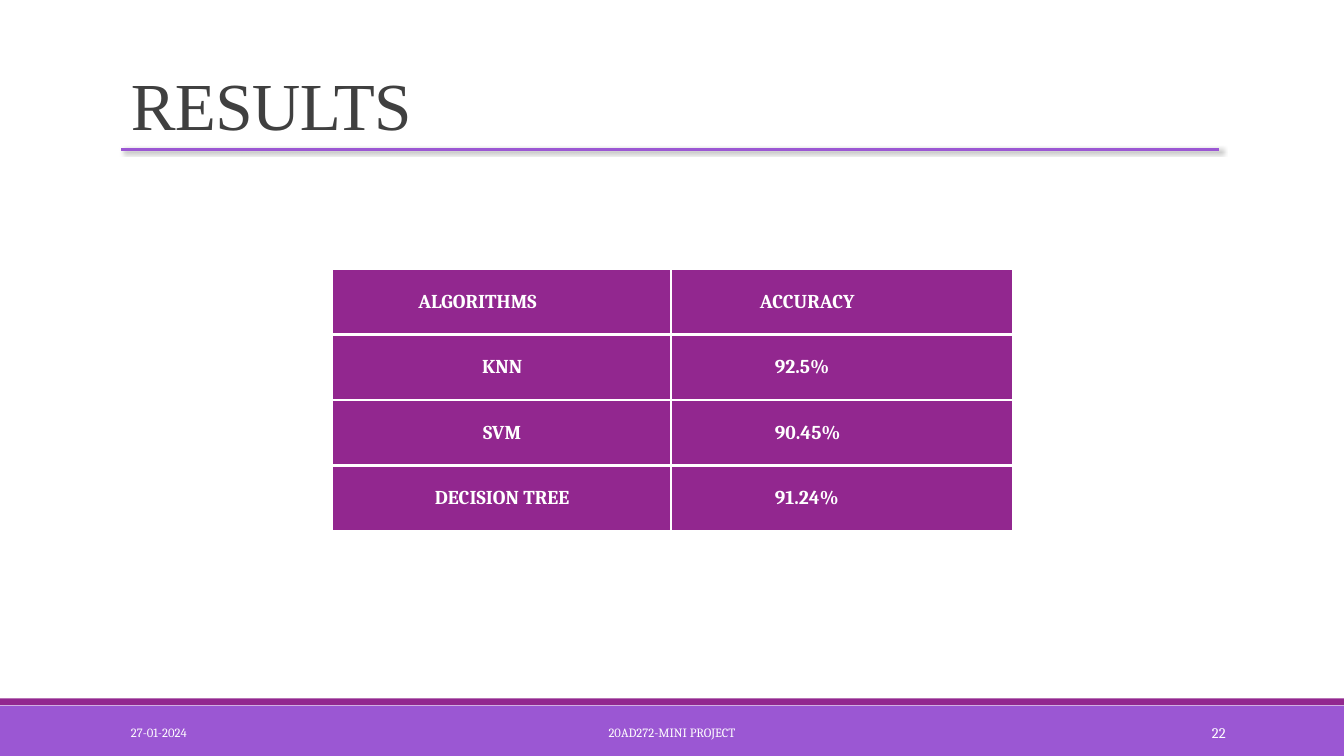
"""Build the results slide with its accuracy table."""
from lxml import etree
from pptx import Presentation
from pptx import util as u
from pptx.dml.color import RGBColor
from pptx.enum import shapes, text
from pptx.oxml import ns

COLORS = {"band": "9B57D3", "accent": "92278F", "title": "404040",
          "light": "FFFFFF", "shade": "000000"}
ALIGN = text.PP_ALIGN
ANCHOR = text.MSO_ANCHOR
RESULTS = [("ALGORITHMS", "ACCURACY"), ("KNN", "92.5%"),
           ("SVM", "90.45%"), ("DECISION TREE", "91.24%")]
COLUMN_WIDTHS = (8.53, 8.61)
ROW_HEIGHT = 1.65
FOOTERS = [("27-01-2024", 3.05, 6.86, ALIGN.LEFT, 9),
           ("20AD272-MINI PROJECT", 10.24, 13.39, ALIGN.CENTER, 9),
           ("22", 27.51, 3.63, ALIGN.RIGHT, 10.5)]


def rgb(color):
    return RGBColor.from_string(COLORS[color])


def apply(target, values):
    for key, value in values.items():
        setattr(target, key, value)


def add_element(parent, tag, **attributes):
    return etree.SubElement(parent, ns.qn(tag), attributes)


def write(frame, words, color, align, font):
    paragraph = frame.paragraphs[0]
    paragraph.alignment = align
    run = paragraph.add_run()
    run.text = words
    apply(run.font, font)
    run.font.color.rgb = rgb(color)
    return paragraph, run


def add_label(slide, box, words, color, align, anchor, font):
    frame = slide.shapes.add_textbox(*map(u.Cm, box)).text_frame
    apply(frame, {"word_wrap": True, "vertical_anchor": anchor})
    return write(frame, words, color, align, font)


def add_band(slide, top, height, color):
    band = slide.shapes.add_shape(
        shapes.MSO_SHAPE.RECTANGLE, 0, u.Cm(top), u.Cm(33.87), u.Cm(height))
    band.shadow.inherit = False
    band.fill.solid()
    band.fill.fore_color.rgb = rgb(color)
    band.line.fill.background()


def add_title(slide):
    font = {"name": "Times New Roman", "size": u.Pt(48)}
    paragraph, run = add_label(slide, (3.05, 1.02, 27.94, 2.74), "RESULTS",
                               "title", ALIGN.LEFT, ANCHOR.BOTTOM, font)
    paragraph.line_spacing = 0.85
    run.font._element.set("spc", "-50")


def add_title_rule(slide):
    rule = slide.shapes.add_connector(
        shapes.MSO_CONNECTOR.STRAIGHT, *map(u.Cm, (3.05, 3.76, 30.73, 3.76)))
    rule.line.color.rgb = rgb("band")
    rule.line.width = u.Pt(2)
    effects = add_element(rule._element.spPr, "a:effectLst")
    shadow = add_element(effects, "a:outerShdw", blurRad=str(u.Pt(3)),
                         dist=str(u.Pt(2)), dir="2700000", algn="tl")
    shade = add_element(shadow, "a:srgbClr", val=COLORS["shade"])
    add_element(shade, "a:alpha", val="60000")


def set_borders(cell, widths):
    properties = cell._tc.get_or_add_tcPr()
    for side, width in widths.items():
        border = add_element(properties, f"a:ln{side}", w=str(u.Pt(width)))
        fill = add_element(border, "a:solidFill")
        add_element(fill, "a:srgbClr", val=COLORS["light"])


def fill_cell(cell, words, align, left, right):
    apply(cell, {"margin_left": u.Cm(left), "margin_right": u.Cm(right),
                 "margin_top": 0, "margin_bottom": 0,
                 "vertical_anchor": ANCHOR.MIDDLE})
    font = {"name": "Cambria", "size": u.Pt(14), "bold": True}
    write(cell.text_frame, words, "light", align, font)
    cell.fill.solid()
    cell.fill.fore_color.rgb = rgb("accent")


def add_results(slide):
    count = len(RESULTS)
    table = slide.shapes.add_table(
        count, 2, u.Cm(8.38), u.Cm(6.78),
        u.Cm(sum(COLUMN_WIDTHS)), u.Cm(count * ROW_HEIGHT)).table
    for column, width in zip(table.columns, COLUMN_WIDTHS):
        column.width = u.Cm(width)
    edges = [3 if edge in (1, count - 1) else 1 for edge in range(count + 1)]
    for index, (algorithm, accuracy) in enumerate(RESULTS):
        table.rows[index].height = u.Cm(ROW_HEIGHT)
        name_left, value_left = (1.24, 2.62) if index else (0, 2.24)
        widths = {"L": 1, "R": 1, "T": edges[index], "B": edges[index + 1]}
        for column, content in enumerate((
                (algorithm, ALIGN.CENTER, name_left, 1.22),
                (accuracy, ALIGN.LEFT, value_left, 0))):
            cell = table.cell(index, column)
            set_borders(cell, widths)
            fill_cell(cell, *content)


def main():
    deck = Presentation()
    apply(deck, {"slide_width": u.Cm(33.87), "slide_height": u.Cm(19.05)})
    slide = deck.slides.add_slide(deck.slide_layouts[6])
    add_band(slide, 17.78, 1.27, "band")
    add_band(slide, 17.6, 0.17, "accent")
    add_title_rule(slide)
    add_title(slide)
    add_results(slide)
    for words, left, width, align, size in FOOTERS:
        add_label(slide, (left, 17.95, width, 1.02), words, "light", align,
                  ANCHOR.MIDDLE, {"name": "Cambria", "size": u.Pt(size)})
    deck.save("out.pptx")


if __name__ == "__main__":
    main()
